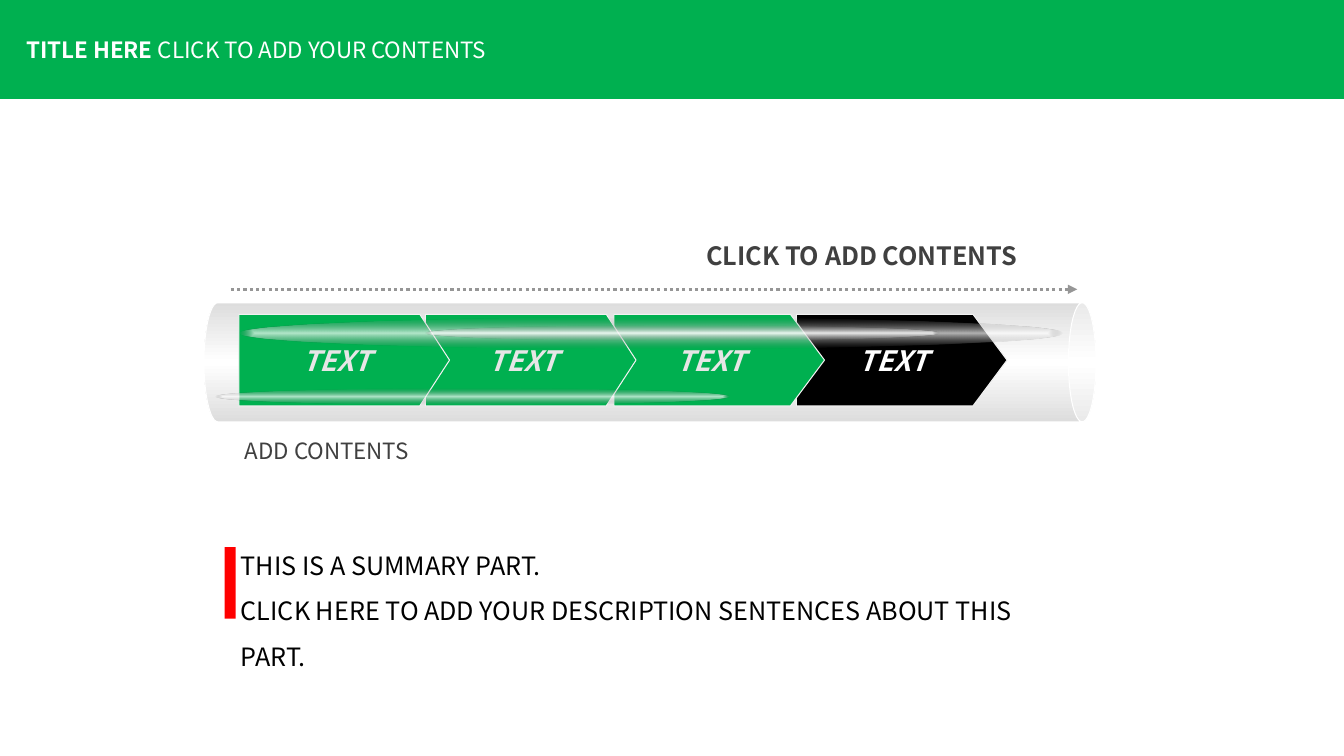
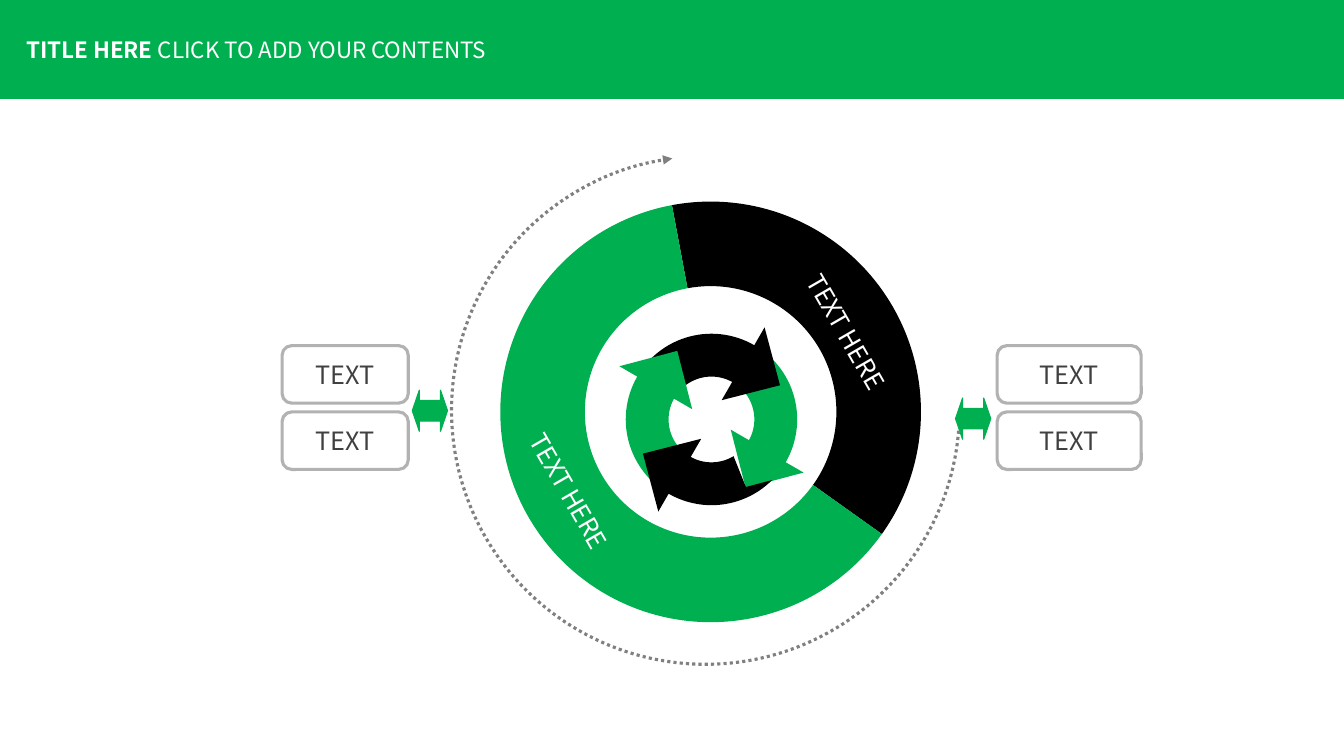
from math import cos, radians, sin

from lxml import etree
from pptx import Presentation
from pptx import util as u
from pptx.dml.color import RGBColor
from pptx.enum import dml, shapes, text
from pptx.oxml import parse_xml
from pptx.oxml.ns import nsdecls, qn

COLORS = {
    "green": "00B050", "black": "000000", "white": "FFFFFF", "red": "FF0000",
    "pale": "E7E6E6", "edge": "F2F2F2", "ink": "404040", "silver": "DDDDDD",
    "frame": "B2B2B2", "dots": "969696", "orbit": "808080", "shade": "767676",
}
FONT = "Noto Sans CJK SC"
KIND = shapes.MSO_SHAPE
CENTER = text.PP_ALIGN.CENTER
LINEAR = '<a:lin ang="0" scaled="0"/>'
RADIAL = ('<a:path path="shape"><a:fillToRect l="50000" t="50000" '
          'r="50000" b="50000"/></a:path>')


def rgb(name):
    return RGBColor.from_string(COLORS[name])


def arc_points(radius, start, end, step=3):
    count = max(1, round(abs(end - start) / step))
    return [(radius, start + (end - start) * i / count) for i in range(count + 1)]


class Deck:
    def __init__(self):
        self.prs = Presentation()
        self.prs.slide_width, self.prs.slide_height = u.Cm(33.87), u.Cm(19.05)
        self.slide = None

    def new_slide(self, heading, subheading):
        self.slide = self.prs.slides.add_slide(self.prs.slide_layouts[6])
        self.shape(KIND.RECTANGLE, (0, 0, 33.9, 2.49), "green", "green", 1)
        title = self.label((0.41, 0.79, 13.34, 0.94), [heading], 16, "white", bold=True)
        rest = title.text_frame.paragraphs[0].add_run()
        rest.text = subheading
        self.style(rest, 16, "white")

    def style(self, run, size, color, bold=False, italic=False):
        font = run.font
        font.name, font.size = FONT, u.Pt(size)
        font.bold, font.italic = bold, italic
        font.color.rgb = rgb(color)

    def paint(self, shape, fill=None, line=None, width=0.75):
        shape.shadow.inherit = False
        if fill:
            shape.fill.solid()
            shape.fill.fore_color.rgb = rgb(fill)
        else:
            shape.fill.background()
        if line:
            shape.line.color.rgb = rgb(line)
            shape.line.width = u.Pt(width)
        else:
            shape.line.fill.background()
        return shape

    def shape(self, kind, box, fill=None, line=None, width=0.75, adjust=(), turn=0):
        shape = self.slide.shapes.add_shape(kind, *map(u.Cm, box))
        for i, value in enumerate(adjust):
            shape.adjustments[i] = value
        shape.rotation = turn
        return self.paint(shape, fill, line, width)

    def set_text(self, shape, lines, size, color, bold=False, italic=False,
                 align=None, spacing=None, wrap=True):
        frame = shape.text_frame
        frame.word_wrap = wrap
        frame.text = "\n".join(lines)
        for paragraph in frame.paragraphs:
            paragraph.alignment = align
            paragraph.line_spacing = spacing
            for run in paragraph.runs:
                self.style(run, size, color, bold, italic)

    def label(self, box, lines, size, color, turn=0, **look):
        label = self.slide.shapes.add_textbox(*map(u.Cm, box))
        label.rotation = turn
        self.set_text(label, lines, size, color, **look)
        return label

    def caption(self, shape, words, size, color, **look):
        shape.text_frame.vertical_anchor = text.MSO_ANCHOR.MIDDLE
        self.set_text(shape, [words], size, color, align=CENTER, wrap=False, **look)

    def gradient(self, shape, stops, direction):
        marks = "".join(
            f'<a:gs pos="{pos * 1000}"><a:srgbClr val="{COLORS[color]}">'
            f'<a:alpha val="{alpha * 1000}"/></a:srgbClr></a:gs>'
            for pos, color, alpha in stops)
        fill = parse_xml(f'<a:gradFill {nsdecls("a")} rotWithShape="1">'
                         f'<a:gsLst>{marks}</a:gsLst>{direction}</a:gradFill>')
        props = shape.element.spPr
        props.replace(props.find(qn("a:solidFill")), fill)

    def dotted_arrow(self, shape, color):
        shape.line.color.rgb = rgb(color)
        shape.line.width = u.Pt(2.25)
        shape.line.dash_style = dml.MSO_LINE.ROUND_DOT
        outline = shape.element.spPr.find(qn("a:ln"))
        etree.SubElement(outline, qn("a:tailEnd"), type="triangle")

    def straight_arrow(self, x1, x2, y, color):
        arrow = self.slide.shapes.add_connector(
            shapes.MSO_CONNECTOR.STRAIGHT, *map(u.Cm, (x1, y, x2, y)))
        self.dotted_arrow(arrow, color)
        etree.SubElement(arrow.element.spPr, qn("a:effectLst"))

    def round_shape(self, kind, center, radius, start, end, fill=None, thickness=()):
        x, y = center
        box = (x - radius, y - radius, 2 * radius, 2 * radius)
        return self.shape(kind, box, fill, adjust=(start * 0.6, end * 0.6, *thickness))

    def polar_outline(self, center, points, turn, fill):
        spots = [(u.Cm(center[0] + r * cos(radians(a + turn))),
                  u.Cm(center[1] + r * sin(radians(a + turn)))) for r, a in points]
        builder = self.slide.shapes.build_freeform(*spots[0])
        builder.add_line_segments(spots[1:])
        return self.paint(builder.convert_to_shape(), fill)


def tube_slide(deck):
    tube = deck.shape(KIND.CAN, (14.88, -2.11, 3, 22.48), "silver", "white",
                      adjust=[0.232], turn=90)
    deck.gradient(tube, [(0, "silver", 100), (50, "white", 100), (100, "silver", 100)], LINEAR)
    steps = [(20.07, 0.372, "black", "white"), (15.47, 0.372, "green", "pale"),
             (10.72, 0.325, "green", "pale"), (6.02, 0.325, "green", "pale")]
    for left, point, fill, ink in steps:
        step = deck.shape(KIND.PENTAGON, (left, 7.92, 5.31, 2.31), fill, "edge", adjust=[point])
        deck.caption(step, "TEXT", 20, ink, bold=True, italic=True)
    deck.straight_arrow(5.82, 27.15, 7.29, "dots")
    for gloss_box in [(6.05, 8, 20.73, 0.79), (10.72, 8.2, 12.95, 0.38),
                      (5.44, 9.8, 12.95, 0.38)]:
        gloss = deck.shape(KIND.OVAL, gloss_box, "white")
        deck.gradient(gloss, [(0, "white", 70), (100, "shade", 0)], RADIAL)
    deck.label((5.92, 10.9, 7.21, 0.94), ["ADD CONTENTS"], 16, "ink")
    deck.label((17.25, 5.92, 8.94, 1.02), ["CLICK TO ADD CONTENTS"], 18, "ink",
               bold=True, align=CENTER, wrap=False)
    deck.label((5.82, 13.36, 21.59, 3.71),
               ["THIS IS A SUMMARY PART.",
                "CLICK HERE TO ADD YOUR DESCRIPTION SENTENCES ABOUT THIS PART."],
               18, "black", spacing=1.5)
    deck.shape(KIND.RECTANGLE, (5.66, 13.79, 0.28, 1.8), "red")


def cycle_slide(deck):
    for left, width in [(7.11, 3.18), (25.13, 3.63)]:
        for top in (8.71, 10.38):
            box = deck.shape(KIND.ROUNDED_RECTANGLE, (left, top, width, 1.45),
                             line="frame", width=2.25, adjust=[0.167])
            deck.caption(box, "TEXT", 18, "ink")
    for left, top in [(24.08, 10.03), (10.39, 9.83)]:
        deck.shape(KIND.LEFT_RIGHT_ARROW, (left, top, 0.89, 1.04), "green", "green",
                   adjust=[0.5, 0.2])

    hub = (17.93, 10.57)
    inner, outer = 1.08, 2.16
    head = [(2.68, 30), (1.93, 63.5), (0.55, 28)]
    full_tail = (-60, [], -60)
    tucked_tail = (-31, [(1.91, -27)], -45)
    for turn, fill, tail in [(0, "green", full_tail), (-90, "black", full_tail),
                             (180, "green", full_tail), (90, "black", tucked_tail)]:
        inner_end, notch, outer_start = tail
        points = (arc_points(inner, 29, inner_end) + notch
                  + arc_points(outer, outer_start, 30) + head)
        deck.polar_outline(hub, points, turn, fill)

    orbit = deck.round_shape(KIND.ARC, (17.78, 10.34), 6.4, 4.6, 262.5)
    deck.dotted_arrow(orbit, "orbit")
    for start, end, fill, left, top in [(259.4, 35.5, "black", 17.63, 7.85),
                                        (35.5, 259.4, "green", 10.64, 11.86)]:
        deck.round_shape(KIND.BLOCK_ARC, (17.91, 10.38), 5.3, start, end, fill, [0.201])
        deck.label((left, top, 7.39, 1.02), ["TEXT HERE"], 18, "white", turn=60, align=CENTER)


def main():
    deck = Deck()
    for build in (tube_slide, cycle_slide):
        deck.new_slide("TITLE HERE ", "CLICK TO ADD YOUR CONTENTS")
        build(deck)
    deck.prs.save("out.pptx")


if __name__ == "__main__":
    main()
